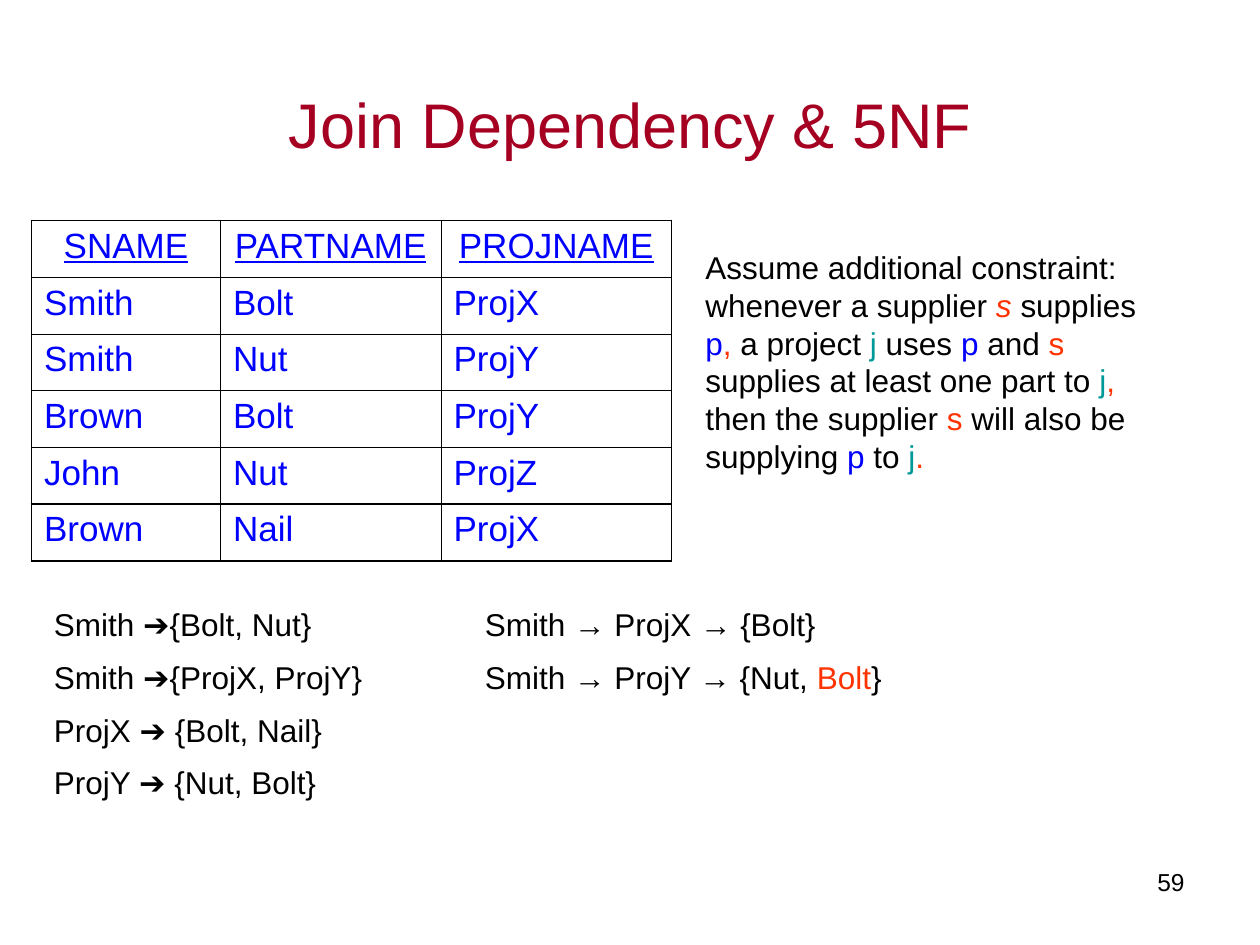
"""Build the slide on join dependency and fifth normal form."""
from lxml.etree import SubElement
from pptx import Presentation
from pptx.dml.color import RGBColor
from pptx.enum.text import MSO_ANCHOR as Anchor, MSO_AUTO_SIZE as AutoSize, PP_ALIGN as Align
from pptx.oxml.ns import qn
from pptx.util import Inches, Pt

COLORS = {"title": "A50021", "blue": "0000FF", "black": "000000",
          "red": "FF3300", "teal": "009999"}
FONT = "Arial"


def write_runs(frame, runs, size, align=Align.LEFT):
    para = frame.paragraphs[0]
    para.alignment = align
    for text, color in runs:
        span = para.add_run()
        span.text = text
        span.font.name = FONT
        span.font.size = Pt(size)
        span.font.color.rgb = RGBColor.from_string(COLORS[color])
    return para


def add_text(left, top, width, height, runs, size=18, align=Align.LEFT):
    box = page.shapes.add_textbox(Inches(left), Inches(top), Inches(width), Inches(height))
    box.text_frame.word_wrap = True
    return write_runs(box.text_frame, runs, size, align)


deck = Presentation()
deck.slide_width, deck.slide_height = Inches(10), Inches(7.5)
page = deck.slides.add_slide(deck.slide_layouts[5])

title = page.shapes.title
title.left, title.top, title.width, title.height = (Inches(n) for n in (0.5, 0.63, 9, 0.7))
title.text_frame.auto_size = AutoSize.NONE
title.text_frame.vertical_anchor = Anchor.MIDDLE
write_runs(title.text_frame, [("Join Dependency & 5NF", "title")], 36, Align.CENTER)

header = ["SNAME", "PARTNAME", "PROJNAME"]
supplies = [
    header,
    ["Smith", "Bolt", "ProjX"],
    ["Smith", "Nut", "ProjY"],
    ["Brown", "Bolt", "ProjY"],
    ["John", "Nut", "ProjZ"],
]
added_supply = [["Brown", "Nail", "ProjX"]]
column_widths = [1.5, 1.75, 1.83]
row_height = 0.45
thick, thin = Pt(1.08), Pt(0.45)

for top, rows in [(1.75, supplies), (4, added_supply)]:
    grid = page.shapes.add_table(
        len(rows), len(header), Inches(0.25), Inches(top),
        Inches(sum(column_widths)), Inches(row_height * len(rows))).table
    grid.first_row = grid.horz_banding = False
    for column, width in zip(grid.columns, column_widths):
        column.width = Inches(width)
    for r, values in enumerate(rows):
        grid.rows[r].height = Inches(row_height)
        for c, value in enumerate(values):
            cell = grid.cell(r, c)
            is_header = values is header
            para = write_runs(cell.text_frame, [(value, "blue")], 20,
                              Align.CENTER if is_header else Align.LEFT)
            para.runs[0].font.underline = is_header
            outer_edges = {"lnL": c == 0, "lnR": c == len(header) - 1,
                           "lnT": r == 0, "lnB": r == len(rows) - 1}
            properties = cell._tc.get_or_add_tcPr()
            for tag, is_outer in outer_edges.items():
                border = SubElement(properties, qn(f"a:{tag}"), w=str(thick if is_outer else thin))
                fill = SubElement(border, qn("a:solidFill"))
                SubElement(fill, qn("a:srgbClr"), val=COLORS["black"])
            cell.fill.background()

constraint = add_text(5.5, 1.92, 3.83, 1.9, [
    ("Assume additional constraint: whenever a supplier ", "black"), ("s ", "red"),
    ("supplies ", "black"), ("p", "blue"), (", ", "red"), ("a project ", "black"),
    ("j ", "teal"), ("uses ", "black"), ("p ", "blue"), ("and", "black"), (" s ", "red"),
    ("supplies at least one part to ", "black"), ("j", "teal"), (", ", "red"),
    ("then the supplier", "black"), (" s ", "red"), ("will also be supplying ", "black"),
    ("p ", "blue"), ("to ", "black"), ("j", "teal"), (".", "red"),
])
constraint.runs[1].font.italic = True

fact_columns = [
    (0.33, 2.75, [
        [("Smith ➔{Bolt, Nut}", "black")],
        [("Smith ➔{ProjX, ProjY}", "black")],
        [("ProjX ➔ {Bolt, Nail}", "black")],
        [("ProjY ➔ {Nut, Bolt}", "black")],
    ]),
    (3.75, 3.83, [
        [("Smith → ProjX → {Bolt}", "black")],
        [("Smith → ProjY → {Nut, ", "black"), ("Bolt", "red"), ("}", "black")],
    ]),
]
for left, width, facts in fact_columns:
    for index, runs in enumerate(facts):
        add_text(left, 4.75 + 0.42 * index, width, 0.4, runs)

add_text(7.17, 6.83, 2.33, 0.52, [("59", "black")], 14, Align.RIGHT)

deck.save("out.pptx")
